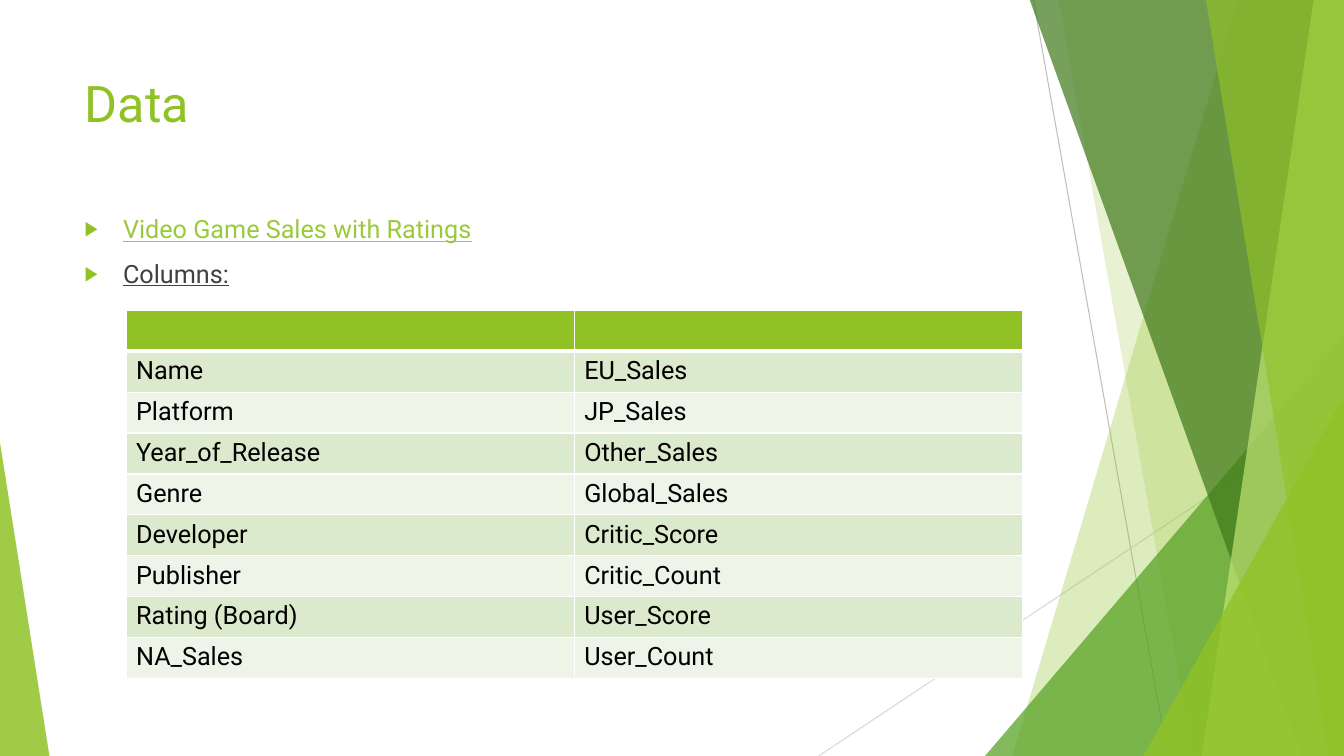
"""Build the Data slide: dataset bullets, a column-name table and faceted green edges."""
import dataclasses
import typing

import lxml.etree
import pptx
import pptx.dml.color
import pptx.enum.shapes
import pptx.enum.text
import pptx.oxml
import pptx.oxml.ns
import pptx.util

Inches = pptx.util.Inches
Pt = pptx.util.Pt
qn = pptx.oxml.ns.qn
Point = tuple[float, float]


@dataclasses.dataclass(frozen=True)
class Theme:
    font: str = "Roboto"
    title_size: int = 36
    body_size: int = 18
    green: str = "90C226"
    leaf: str = "54A021"
    forest: str = "3F7819"
    lime: str = "C0E474"
    link: str = "99CA3C"
    text: str = "404040"
    table_text: str = "000000"
    white: str = "FFFFFF"
    bands: tuple[str, str] = ("DBE9CD", "EEF4E8")
    steep_line: str = "BFBFBF"
    shallow_line: str = "D9D9D9"


@dataclasses.dataclass(frozen=True)
class Ray:
    start: Point
    end: Point
    color: str


@dataclasses.dataclass(frozen=True)
class Facet:
    top_left: float
    bottom_left: float
    color: str
    opacity: int


@dataclasses.dataclass(frozen=True)
class Wedge:
    left: float
    top: float
    width: float
    apex: float
    color: str
    opacity: int


THEME = Theme()
WIDTH, HEIGHT = 13.33, 7.5
FACET_TOP = -0.01

EDGE_DECOR = (
    Ray((10.25, 0), (11.58, HEIGHT), THEME.steep_line),
    Ray((WIDTH, 4.03), (8.12, HEIGHT), THEME.shallow_line),
    Facet(12.28, 10.04, THEME.green, 30),
    Facet(10.5, 11.83, THEME.green, 20),
    Wedge(9.77, 3.33, 3.56, 1, THEME.leaf, 72),
    Facet(10.21, 12.91, THEME.forest, 70),
    Facet(13.03, 11.92, THEME.lime, 70),
    Facet(11.96, 13.18, THEME.green, 65),
    Wedge(11.34, 3.93, 1.99, 1, THEME.green, 80),
    Wedge(0, 4.39, 0.49, 0, THEME.green, 85),
)
BULLETS = (("Video Game Sales with Ratings", THEME.link), ("Columns:", THEME.text))
COLUMN_NAMES = (
    ("Name", "EU_Sales"),
    ("Platform", "JP_Sales"),
    ("Year_of_Release", "Other_Sales"),
    ("Genre", "Global_Sales"),
    ("Developer", "Critic_Score"),
    ("Publisher", "Critic_Count"),
    ("Rating (Board)", "User_Score"),
    ("NA_Sales", "User_Count"),
)


def rgb(color: str) -> pptx.dml.color.RGBColor:
    return pptx.dml.color.RGBColor.from_string(color)


def add_xml(parent: typing.Any, tag: str, **attributes: str) -> typing.Any:
    child = lxml.etree.SubElement(parent, qn(tag))
    for key, value in attributes.items():
        child.set(key, value)
    return child


def style_font(font: typing.Any, size: int, color: str) -> None:
    font.name = THEME.font
    font.size = Pt(size)
    font.color.rgb = rgb(color)


def place(shape: typing.Any, left: float, top: float, width: float, height: float) -> None:
    shape.left, shape.top = Inches(left), Inches(top)
    shape.width, shape.height = Inches(width), Inches(height)
    shape.text_frame.auto_size = pptx.enum.text.MSO_AUTO_SIZE.NONE
    shape.text_frame.vertical_anchor = pptx.enum.text.MSO_ANCHOR.TOP


def paint(shape: typing.Any, color: str, opacity: int) -> None:
    shape.shadow.inherit = False
    shape.line.fill.background()
    shape.fill.solid()
    shape.fill.fore_color.rgb = rgb(color)
    tint = shape.fill._xPr.find(".//" + qn("a:srgbClr"))
    add_xml(tint, "a:alpha", val=str(opacity * 1000))


def draw_ray(shapes: typing.Any, ray: Ray) -> None:
    ends = [Inches(value) for value in ray.start + ray.end]
    line = shapes.add_connector(pptx.enum.shapes.MSO_CONNECTOR.STRAIGHT, *ends)
    line.line.color.rgb = rgb(ray.color)
    line.line.width = Pt(0.75)
    add_xml(line._element.spPr, "a:effectLst")


def draw_facet(shapes: typing.Any, facet: Facet) -> None:
    builder = shapes.build_freeform(Inches(facet.top_left), Inches(FACET_TOP))
    corners = ((WIDTH, FACET_TOP), (WIDTH, HEIGHT), (facet.bottom_left, HEIGHT))
    builder.add_line_segments([(Inches(x), Inches(y)) for x, y in corners])
    paint(builder.convert_to_shape(), facet.color, facet.opacity)


def draw_wedge(shapes: typing.Any, wedge: Wedge) -> None:
    triangle = shapes.add_shape(
        pptx.enum.shapes.MSO_SHAPE.ISOSCELES_TRIANGLE,
        Inches(wedge.left), Inches(wedge.top),
        Inches(wedge.width), Inches(HEIGHT - wedge.top),
    )
    triangle.adjustments[0] = wedge.apex
    paint(triangle, wedge.color, wedge.opacity)


def write_title(title: typing.Any) -> None:
    place(title, 0.74, 0.67, 9.4, 0.8)
    title.text_frame.text = "Data"
    heading = title.text_frame.paragraphs[0]
    heading.alignment = pptx.enum.text.PP_ALIGN.LEFT
    style_font(heading.font, THEME.title_size, THEME.green)


def write_bullets(body: typing.Any) -> None:
    place(body, 0.74, 2.07, 9.4, 3.8)
    frame = body.text_frame
    frame.text = "\n".join(text for text, _ in BULLETS)
    for paragraph, (_, color) in zip(frame.paragraphs, BULLETS):
        paragraph.space_before = Pt(0)
        paragraph.space_after = Pt(10)
        properties = paragraph._p.get_or_add_pPr()
        properties.set("marL", str(Inches(0.38)))
        properties.set("indent", str(Inches(-0.38)))
        add_xml(add_xml(properties, "a:buClr"), "a:srgbClr", val=THEME.green)
        add_xml(properties, "a:buSzPct", val="80000")
        add_xml(properties, "a:buChar", char="▶")
        style_font(paragraph.font, THEME.body_size, color)
        paragraph.font.underline = True


def style_cell(cell: typing.Any, fill: str, top: int, bottom: int) -> None:
    properties = cell._tc.get_or_add_tcPr()
    for side, width in (("L", 1), ("R", 1), ("T", top), ("B", bottom)):
        border = add_xml(properties, f"a:ln{side}", w=str(Pt(width)))
        add_xml(add_xml(border, "a:solidFill"), "a:srgbClr", val=THEME.white)
    cell.fill.solid()
    cell.fill.fore_color.rgb = rgb(fill)


def draw_column_table(shapes: typing.Any) -> None:
    rows = (("", ""),) + COLUMN_NAMES
    row_height = Inches(3.65 / len(rows))
    table = shapes.add_table(
        len(rows), 2, Inches(1.25), Inches(3.08), Inches(8.89), row_height * len(rows)
    ).table
    table.horz_banding = False
    for row, names in enumerate(rows):
        fill = THEME.bands[(row - 1) % 2] if row else THEME.green
        for column, name in enumerate(names):
            cell = table.cell(row, column)
            cell.text = name
            style_font(cell.text_frame.paragraphs[0].font, THEME.body_size, THEME.table_text)
            style_cell(cell, fill, 3 if row == 1 else 1, 1 if row else 3)


def main() -> None:
    deck = pptx.Presentation()
    deck.slide_width, deck.slide_height = Inches(WIDTH), Inches(HEIGHT)
    slide = deck.slides.add_slide(deck.slide_layouts[1])
    title, body = slide.placeholders
    painters = {Ray: draw_ray, Facet: draw_facet, Wedge: draw_wedge}
    for part in EDGE_DECOR:
        painters[type(part)](slide.shapes, part)
    for placeholder in (title, body):
        slide.shapes._spTree.append(placeholder._element)
    write_title(title)
    write_bullets(body)
    draw_column_table(slide.shapes)
    deck.save("out.pptx")


main()
